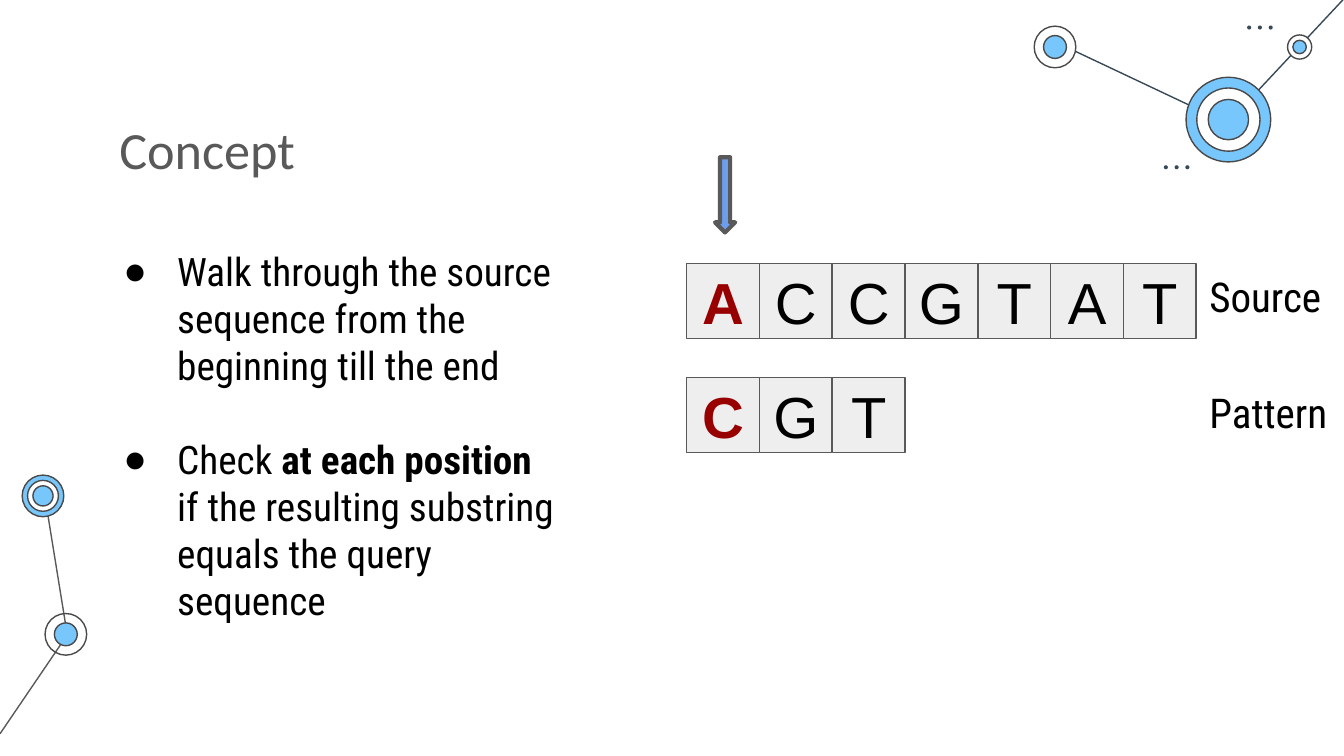
from lxml import etree
from pptx import Presentation
from pptx.dml.color import RGBColor
from pptx.enum.shapes import MSO_CONNECTOR, MSO_SHAPE
from pptx.enum.text import MSO_ANCHOR, PP_ALIGN
from pptx.oxml.ns import qn
from pptx.util import Inches, Pt

OVAL, RECT, ARROW = MSO_SHAPE.OVAL, MSO_SHAPE.RECTANGLE, MSO_SHAPE.DOWN_ARROW
STRAIGHT = MSO_CONNECTOR.STRAIGHT
MIDDLE, CENTER = MSO_ANCHOR.MIDDLE, PP_ALIGN.CENTER

BLUE, WHITE, GREY, NAVY = "77C6FC", "FFFFFF", "595959", "374957"
BLACK, RED, RING = "000000", "980000", "494949"
CONDENSED = "Roboto Condensed"

TITLE = "Concept"
BULLETS = [
    [("Walk through the source sequence from the beginning till the end", False)],
    [("Check ", False), ("at each position", True),
     (" if the resulting substring equals the query sequence", False)],
]
SEQUENCES = [("Source", "ACCGTAT", 1.96, 1.92, 1.04), ("Pattern", "CGT", 2.81, 2.78, 1.39)]
CELL_LEFT, CELL_W, CELL_H = 5.11, 0.54, 0.56
CELL_STEP = (8.36 - CELL_LEFT) / 6

LINKS = [
    (0.5, 4.72, 0.33, 3.67, GREY),
    (0, 5.46, 0.49, 4.74, GREY),
    (9.14, 0.92, 7.87, 0.32, NAVY),
    (10, -0.01, 9.14, 0.91, NAVY),
]
NODES = [
    (0.49, 4.72, [(0.31, None), (0.17, BLUE)]),
    (0.32, 3.69, [(0.31, BLUE), (0.23, WHITE), (0.15, BLUE)]),
    (9.14, 0.89, [(0.63, BLUE), (0.47, WHITE), (0.3, BLUE)]),
    (7.85, 0.35, [(0.31, WHITE), (0.17, BLUE)]),
    (9.67, 0.35, [(0.18, WHITE), (0.1, BLUE)]),
]
DOT_ROWS = [(9.28, 0.19), (8.66, 1.23)]
DOT_SIZE, DOT_STEP = 0.03, 0.08


def rgb(color):
    return RGBColor.from_string(color)


def add_shape(kind, x, y, w, h, fill, line=None, weight=0.75):
    sp = s.shapes.add_shape(kind, Inches(x), Inches(y), Inches(w), Inches(h))
    sp.shadow.inherit = False
    if fill:
        sp.fill.solid()
        sp.fill.fore_color.rgb = rgb(fill)
    else:
        sp.fill.background()
    if line:
        sp.line.color.rgb = rgb(line)
        sp.line.width = Pt(weight)
    else:
        sp.line.fill.background()
    return sp


def add_link(x1, y1, x2, y2, color):
    cx = s.shapes.add_connector(STRAIGHT, Inches(x1), Inches(y1), Inches(x2), Inches(y2))
    cx.line.color.rgb = rgb(color)
    cx.line.width = Pt(0.75)
    etree.SubElement(cx._element.spPr, qn("a:effectLst"))


def set_margins(tf):
    tf.margin_left = tf.margin_right = tf.margin_top = tf.margin_bottom = Inches(0.1)
    tf.word_wrap = True


def add_box(x, y, w, h):
    tf = s.shapes.add_textbox(Inches(x), Inches(y), Inches(w), Inches(h)).text_frame
    set_margins(tf)
    return tf


def style(r, size, font, color, bold=False):
    r.font.size = Pt(size)
    r.font.name = font
    r.font.color.rgb = rgb(color)
    r.font.bold = bold


def add_label(text, x, y, w, h, size, font, color):
    p = add_box(x, y, w, h).paragraphs[0]
    p.text = text
    style(p.runs[0], size, font, color)


def add_bullet(p):
    pPr = p._p.get_or_add_pPr()
    pPr.set("marL", str(Inches(0.5)))
    pPr.set("indent", str(Inches(-0.4)))
    clr = etree.SubElement(pPr, qn("a:buClr"))
    etree.SubElement(clr, qn("a:srgbClr"), val=BLACK)
    etree.SubElement(pPr, qn("a:buFont"), typeface="Arial")
    etree.SubElement(pPr, qn("a:buChar"), char="●")


def add_cell(letter, x, y, first):
    sp = add_shape(RECT, x, y, CELL_W, CELL_H, "EEEEEE", GREY)
    tf = sp.text_frame
    set_margins(tf)
    tf.vertical_anchor = MIDDLE
    p = tf.paragraphs[0]
    p.text = letter
    p.alignment = CENTER
    style(p.runs[0], 31, "Arial", RED if first else BLACK, first)


prs = Presentation()
prs.slide_width = Inches(10)
prs.slide_height = prs.slide_width * 9 // 16
s = prs.slides.add_slide(prs.slide_layouts[6])

for link in LINKS:
    add_link(*link)
for cx, cy, rings in NODES:
    for d, fill in rings:
        add_shape(OVAL, cx - d / 2, cy - d / 2, d, d, fill, RING)
for x, y in DOT_ROWS:
    for i in range(3):
        add_shape(OVAL, x + i * DOT_STEP, y, DOT_SIZE, DOT_SIZE, NAVY)

add_label(TITLE, 0.79, 0.77, 4.47, 0.63, 28, "Calibri", GREY)

tf = add_box(0.72, 1.74, 3.52, 3.04)
for i, runs in enumerate(BULLETS):
    p = tf.add_paragraph() if i else tf.paragraphs[0]
    if i:
        p.space_before = Pt(25)
    add_bullet(p)
    for text, bold in runs:
        r = p.add_run()
        r.text = text
        style(r, 21, CONDENSED, BLACK, bold)

for name, letters, cell_y, label_y, label_w in SEQUENCES:
    for i, letter in enumerate(letters):
        add_cell(letter, CELL_LEFT + i * CELL_STEP, cell_y, i == 0)
    add_label(name, 8.9, label_y, label_w, 0.63, 22, CONDENSED, BLACK)

add_shape(ARROW, 5.32, 1.17, 0.15, 0.56, "6D9EEB", GREY, 2.25)

prs.save("out.pptx")
